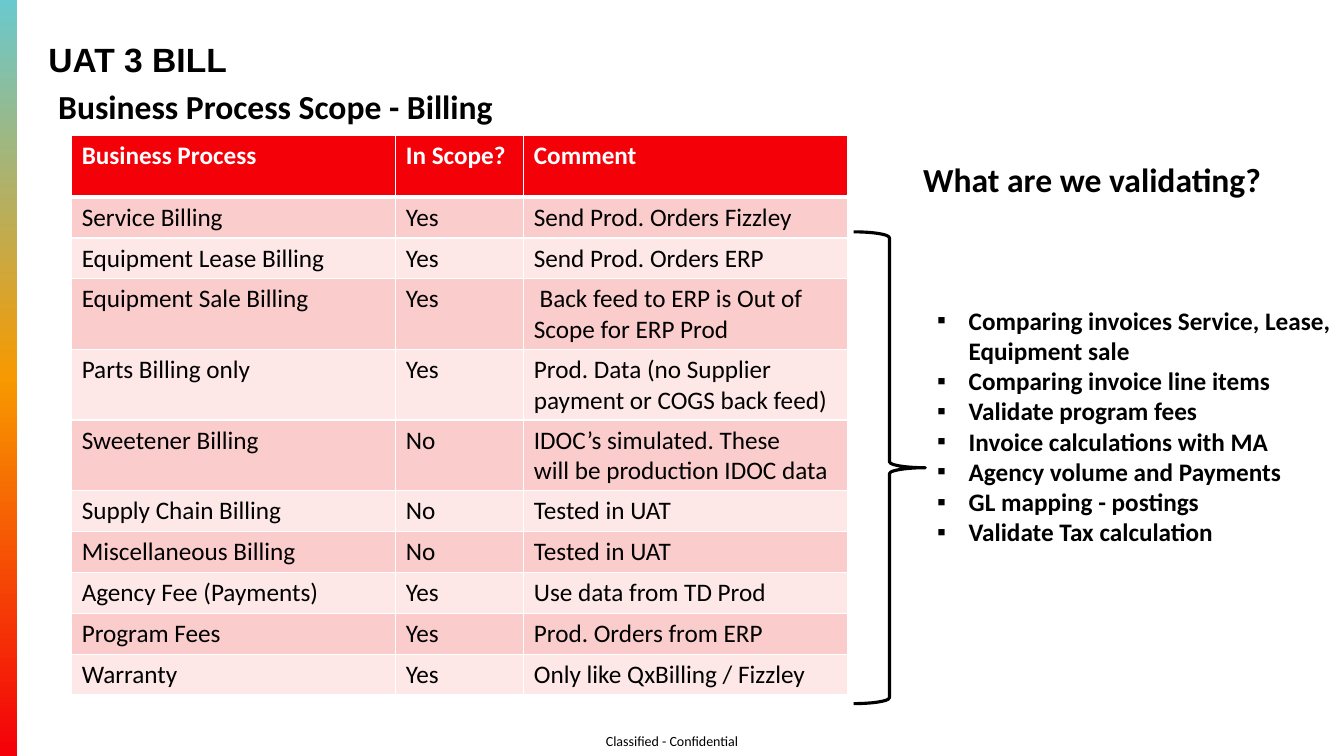
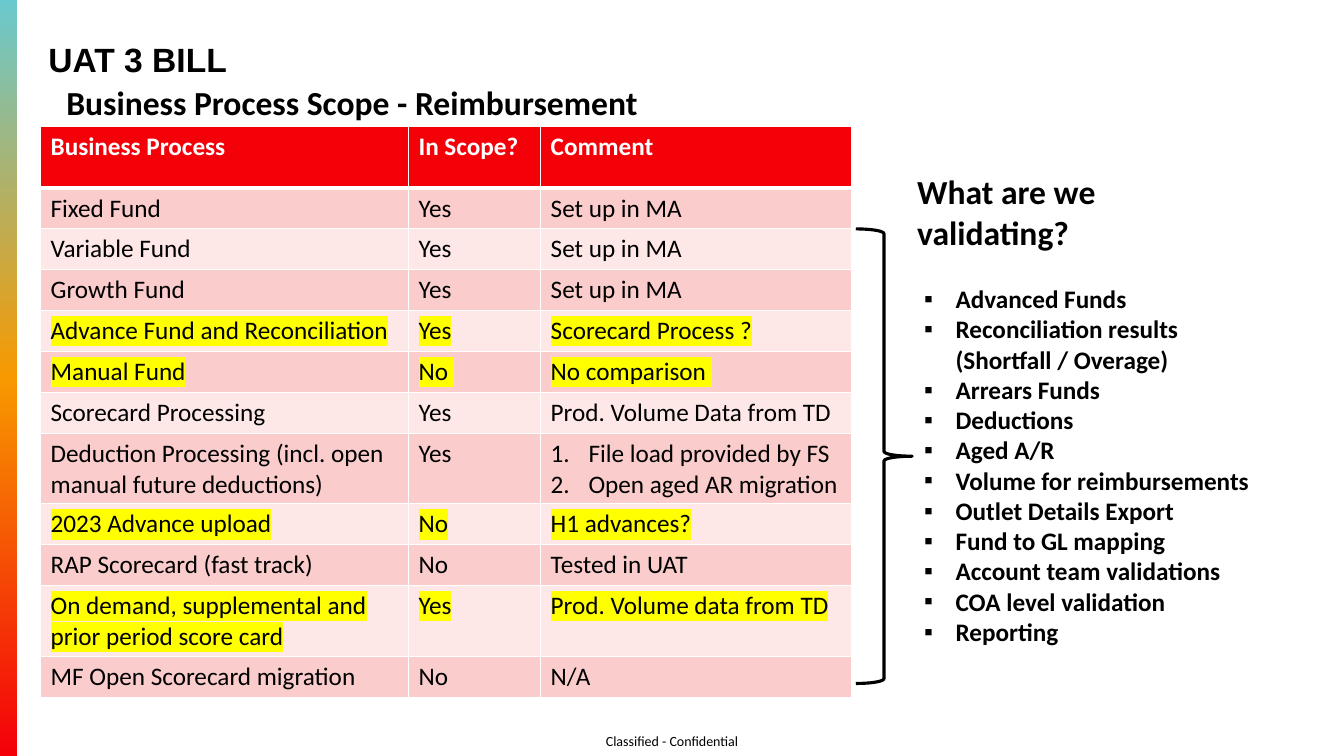
import pptx
import pptx.util
import pptx.oxml
from pptx.dml.color import RGBColor
from pptx.enum.shapes import MSO_SHAPE
from pptx.enum.text import MSO_ANCHOR, PP_ALIGN
from pptx.oxml.ns import nsdecls, qn

Pt = pptx.util.Pt

BLACK = RGBColor(0x00, 0x00, 0x00)
WHITE = RGBColor(0xFF, 0xFF, 0xFF)
HEADER_RED = RGBColor(0xF3, 0x00, 0x09)
ROW_FILLS = (RGBColor(0xFA, 0xCC, 0xCC), RGBColor(0xFD, 0xE7, 0xE7))
HIGHLIGHT = RGBColor(0xFF, 0xFF, 0x00)
BAND_STOPS = ((0, RGBColor(0x6A, 0xC9, 0xCE)), (50, RGBColor(0xF7, 0x99, 0x00)),
              (100, RGBColor(0xF4, 0x00, 0x09)))

SLIDE_W, SLIDE_H = 960, 540
HEADER_H, ROW_H = 44, 29.2
TITLE = "UAT 3 BILL"
FOOTER = "Classified - Confidential"
QUESTION = "What are we validating?"
COLUMNS = ("Business Process", "In Scope?", "Comment")

# Content: boxes are (left, top, width, height); a tuple cell is a numbered list
SLIDES = [
    {
        "subtitle": "Business Process Scope - Billing",
        "subtitle_at": (34.5, 57.6, 860, 36),
        "table_at": (51.2, 96.8),
        "col_widths": (231.6, 91.4, 231.6),
        "rows": [
            ("Service Billing", "Yes", "Send Prod. Orders Fizzley"),
            ("Equipment Lease Billing", "Yes", "Send Prod. Orders ERP"),
            ("Equipment Sale Billing", "Yes", " Back feed to ERP is Out of Scope for ERP Prod"),
            ("Parts Billing only", "Yes", "Prod. Data (no Supplier payment or COGS back feed)"),
            ("Sweetener Billing", "No", "IDOC’s simulated. These\vwill be production IDOC data"),
            ("Supply Chain Billing", "No", "Tested in UAT"),
            ("Miscellaneous Billing", "No", "Tested in UAT"),
            ("Agency Fee (Payments)", "Yes", "Use data from TD Prod"),
            ("Program Fees", "Yes", "Prod. Orders from ERP"),
            ("Warranty", "Yes", "Only like QxBilling / Fizzley"),
        ],
        "highlighted": (),
        "question_at": (652.3, 110.2, 273, 36),
        "checks_at": (626.4, 214.2, 342.7, 203),
        "checks": [
            "Comparing invoices Service, Lease, Equipment sale",
            "Comparing invoice line items",
            "Validate program fees",
            "Invoice calculations with MA",
            "Agency volume and Payments",
            "GL mapping - postings",
            "Validate Tax calculation",
        ],
        "brace_at": (609.8, 165.6, 51.1, 337),
    },
    {
        "subtitle": "Business Process Scope - Reimbursement",
        "subtitle_at": (40.3, 55.2, 860, 36),
        "table_at": (29, 90.3),
        "col_widths": (262.8, 94.4, 222.4),
        "rows": [
            ("Fixed Fund", "Yes", "Set up in MA"),
            ("Variable Fund", "Yes", "Set up in MA"),
            ("Growth Fund", "Yes", "Set up in MA"),
            ("Advance Fund and Reconciliation", "Yes", "Scorecard Process ?"),
            ("Manual Fund", "No ", "No comparison "),
            ("Scorecard Processing", "Yes", "Prod. Volume Data from TD"),
            ("Deduction Processing (incl. open manual future deductions)", "Yes",
             ("File load provided by FS", "Open aged AR migration")),
            ("2023 Advance upload", "No", "H1 advances?"),
            ("RAP Scorecard (fast track)", "No", "Tested in UAT"),
            ("On demand, supplemental and prior period score card", "Yes",
             "Prod. Volume data from TD"),
            ("MF Open Scorecard migration", "No", "N/A"),
        ],
        "highlighted": (4, 5, 8, 10),
        "question_at": (648, 118.8, 215, 65),
        "checks_at": (617, 199, 315.4, 290),
        "checks": [
            "Advanced Funds",
            "Reconciliation results (Shortfall / Overage)",
            "Arrears Funds",
            "Deductions",
            "Aged A/R",
            "Volume for reimbursements",
            "Outlet Details Export",
            "Fund to GL mapping",
            "Account team validations",
            "COA level validation",
            "Reporting",
        ],
        "brace_at": (611.3, 163.5, 40.3, 324.7),
    },
]


def points(box):
    return [Pt(v) for v in box]


def style_runs(p, size, color=BLACK, bold=False, font="Calibri", highlight=False):
    for r in p.runs:
        r.font.size, r.font.bold, r.font.name = Pt(size), bold, font
        r.font.color.rgb = color
        if highlight:
            mark = pptx.oxml.parse_xml(
                f'<a:highlight {nsdecls("a")}><a:srgbClr val="{HIGHLIGHT}"/></a:highlight>')
            r.font._element.find(qn("a:solidFill")).addnext(mark)


def set_list(p, left, hanging, *bullet_tags):
    pPr = p._p.get_or_add_pPr()
    pPr.set("marL", str(Pt(left)))
    pPr.set("indent", str(-Pt(hanging)))
    for tag in bullet_tags:
        pPr.append(pptx.oxml.parse_xml(f'<a:{tag} {nsdecls("a")}/>'))


def add_text(slide, box, text, size, bold=True, font="Calibri", anchor=MSO_ANCHOR.TOP):
    tf = slide.shapes.add_textbox(*points(box)).text_frame
    tf.word_wrap = True
    tf.vertical_anchor = anchor
    tf.text = text
    for p in tf.paragraphs:
        style_runs(p, size, bold=bold, font=font)
    return tf


def add_frame(slide):
    """Side band, footer and title common to all slides."""
    band = slide.shapes.add_shape(MSO_SHAPE.RECTANGLE, *points((0, 0, 12.2, SLIDE_H)))
    band.shadow.inherit = False
    band.line.fill.background()
    stops = "".join(f'<a:gs pos="{pos * 1000}"><a:srgbClr val="{color}"/></a:gs>'
                    for pos, color in BAND_STOPS)
    band._element.spPr.find(qn("a:prstGeom")).addnext(pptx.oxml.parse_xml(
        f'<a:gradFill {nsdecls("a")}><a:gsLst>{stops}</a:gsLst>'
        '<a:lin ang="5400000" scaled="0"/></a:gradFill>'))

    tf = add_text(slide, (420.5, 519.1, 119, 20.9), FOOTER, 10, bold=False,
                  anchor=MSO_ANCHOR.MIDDLE)
    tf.margin_left = tf.margin_right = tf.margin_top = tf.margin_bottom = 0
    tf.paragraphs[0].alignment = PP_ALIGN.CENTER

    tf = add_text(slide, (27.4, 23, 905.8, 37.4), TITLE, 24, font="Arial",
                  anchor=MSO_ANCHOR.BOTTOM)
    tf.paragraphs[0].line_spacing = 0.9


def set_borders(cell, row):
    widths = {"lnL": 1, "lnR": 1, "lnT": 3 if row == 1 else 1, "lnB": 3 if row == 0 else 1}
    tcPr = cell._tc.get_or_add_tcPr()
    for i, (side, width) in enumerate(widths.items()):
        tcPr.insert(i, pptx.oxml.parse_xml(
            f'<a:{side} {nsdecls("a")} w="{Pt(width)}"><a:solidFill>'
            f'<a:srgbClr val="{WHITE}"/></a:solidFill></a:{side}>'))


def add_scope_table(slide, content):
    rows = [COLUMNS] + content["rows"]
    widths = content["col_widths"]
    box = (*content["table_at"], sum(widths), HEADER_H + ROW_H * len(content["rows"]))
    table = slide.shapes.add_table(len(rows), len(widths), *points(box)).table
    for column, width in zip(table.columns, widths):
        column.width = Pt(width)
    for i, row in enumerate(rows):
        header = i == 0
        table.rows[i].height = Pt(HEADER_H if header else ROW_H)
        for j, value in enumerate(row):
            cell = table.cell(i, j)
            numbered = isinstance(value, tuple)
            cell.text_frame.text = "\n".join(value) if numbered else value
            cell.fill.solid()
            cell.fill.fore_color.rgb = HEADER_RED if header else ROW_FILLS[(i - 1) % 2]
            set_borders(cell, i)
            for p in cell.text_frame.paragraphs:
                if numbered:
                    set_list(p, 27, 27, 'buFont typeface="+mj-lt"',
                             'buAutoNum type="arabicPeriod"')
                style_runs(p, 18, WHITE if header else BLACK, bold=header,
                           highlight=i in content["highlighted"])


def add_checks(slide, content):
    tf = add_text(slide, content["checks_at"], "\n".join(content["checks"]), 18)
    for p in tf.paragraphs:
        set_list(p, 58.5, 22.5, 'buFont typeface="Arial"', 'buChar char="▪"')
    add_text(slide, content["question_at"], QUESTION, 24)
    brace = slide.shapes.add_shape(MSO_SHAPE.RIGHT_BRACE, *points(content["brace_at"]))
    brace.shadow.inherit = False
    brace.fill.background()
    brace.line.color.rgb = BLACK
    brace.line.width = Pt(2.25)


def main():
    prs = pptx.Presentation()
    prs.slide_width, prs.slide_height = Pt(SLIDE_W), Pt(SLIDE_H)
    for content in SLIDES:
        slide = prs.slides.add_slide(prs.slide_layouts[6])
        add_frame(slide)
        add_text(slide, content["subtitle_at"], content["subtitle"], 24)
        add_scope_table(slide, content)
        add_checks(slide, content)
    prs.save("out.pptx")


if __name__ == "__main__":
    main()
